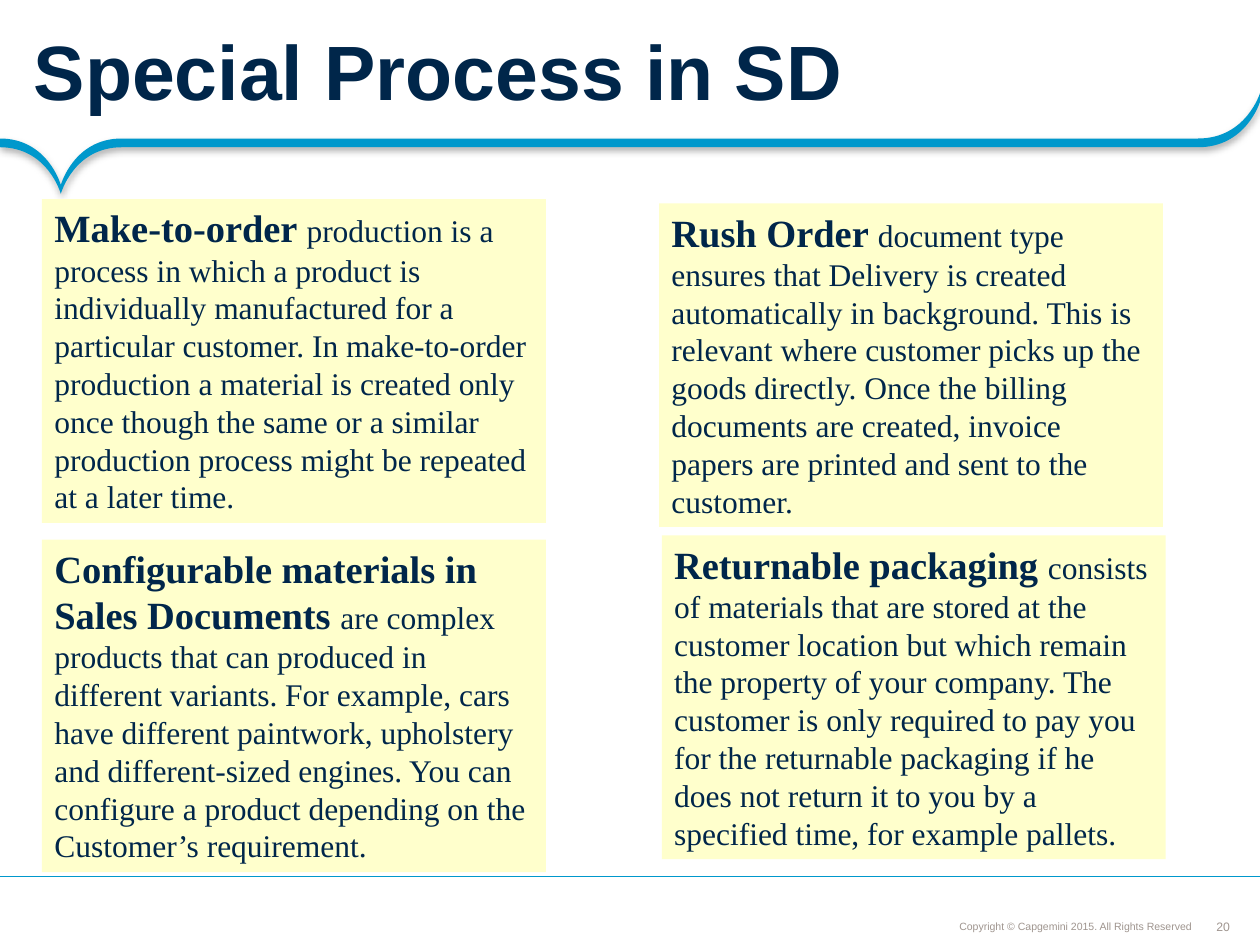
import pptx
import pptx.util
import pptx.oxml
import pptx.dml.color
import pptx.enum.text
import pptx.enum.shapes

Pt = pptx.util.Pt
RGBColor = pptx.dml.color.RGBColor
PP_ALIGN = pptx.enum.text.PP_ALIGN
ANCHOR = pptx.enum.text.MSO_ANCHOR

NAVY = RGBColor(0x00, 0x26, 0x4A)
BLUE = RGBColor(0x00, 0x98, 0xCC)
CREAM = RGBColor(0xFF, 0xFF, 0xCC)
GREY = RGBColor(0x9F, 0x95, 0x8F)

A_NS = 'xmlns:a="http://schemas.openxmlformats.org/drawingml/2006/main"'
NO_EFFECT = f"<a:effectLst {A_NS}/>"
SOFT_SHADOW = (
    f'<a:effectLst {A_NS}><a:outerShdw blurRad="{Pt(4)}" dist="{Pt(2)}" dir="5400000" '
    'algn="t" rotWithShape="0"><a:srgbClr val="000000"><a:alpha val="31000"/></a:srgbClr>'
    "</a:outerShdw></a:effectLst>"
)

BAND_THICKNESS = 5
BAND_BEND = 27.4
BAND_EDGE = [(0, 79.2), (34.8, 105.8), (69.6, 79.2), (684.7, 79.2), (720, 53.3)]
BAND_PEAKS = {34.8, 720}
CARD_WIDTH = 288

# left, top, height, bold term, explanation
CARDS = [
    (24, 113.8, 185, "Make-to-order ",
     "production is a process in which a product is individually manufactured for a "
     "particular customer. In make-to-order production a material is created only once "
     "though the same or a similar production process might be repeated at a later time."),
    (376.6, 116.2, 185, "Rush Order ",
     "document type ensures that Delivery is created automatically in background. This is "
     "relevant where customer picks up the goods directly. Once the billing documents are "
     "created, invoice papers are printed and sent to the customer."),
    (24, 308.4, 190, "Configurable materials in Sales Documents ",
     "are complex products that can produced in different variants. For example, cars have "
     "different paintwork, upholstery and different-sized engines. You can configure a "
     "product depending on the Customer’s requirement."),
    (378.2, 306, 185, "Returnable packaging ",
     "consists of materials that are stored at the customer location but which remain the "
     "property of your company. The customer is only required to pay you for the returnable "
     "packaging if he does not return it to you by a specified time, for example pallets."),
]


def style_font(font, name, size, color, bold=False):
    font.name = name
    font.size = Pt(size)
    font.bold = bold
    font.color.rgb = color


def set_frame(tf, anchor, left=0, top=0, right=0, bottom=0):
    tf.word_wrap = True
    tf.vertical_anchor = anchor
    tf.margin_left, tf.margin_top = Pt(left), Pt(top)
    tf.margin_right, tf.margin_bottom = Pt(right), Pt(bottom)


def add_label(s, box, text, size, color, anchor, align, bold=False, insets=(0, 0, 0, 0)):
    tf = s.shapes.add_textbox(*[Pt(v) for v in box]).text_frame
    set_frame(tf, anchor, *insets)
    p = tf.paragraphs[0]
    p.text = text
    p.alignment = align
    style_font(p.font, "Arial", size, color, bold)


def add_card(s, left, top, height, term, explanation):
    sp = s.shapes.add_shape(pptx.enum.shapes.MSO_SHAPE.RECTANGLE,
                            Pt(left), Pt(top), Pt(CARD_WIDTH), Pt(height))
    sp.shadow.inherit = False
    sp.fill.solid()
    sp.fill.fore_color.rgb = CREAM
    sp.line.fill.background()
    set_frame(sp.text_frame, ANCHOR.TOP, left=7.2, top=3, right=9)
    p = sp.text_frame.paragraphs[0]
    p.alignment = PP_ALIGN.LEFT
    p.line_spacing = 1.0
    for text, size, bold in ((term, 22, True), (explanation, 18, False)):
        r = p.add_run()
        r.text = text
        style_font(r.font, "Times New Roman", size, NAVY, bold)


def bend_handle(point, other):
    """Control point: level on the flat part, none at a peak."""
    x, y = point
    if x in BAND_PEAKS:
        return point
    return (x + BAND_BEND if other[0] > x else x - BAND_BEND, y)


def curve_xml(start, end, top):
    points = (bend_handle(start, end), bend_handle(end, start), end)
    pts = "".join(f'<a:pt x="{Pt(x)}" y="{Pt(y - top)}"/>' for x, y in points)
    return f"<a:cubicBezTo {A_NS}>{pts}</a:cubicBezTo>"


def add_band(s):
    outline = BAND_EDGE + [(x, y + BAND_THICKNESS) for x, y in reversed(BAND_EDGE)]
    builder = s.shapes.build_freeform(Pt(outline[0][0]), Pt(outline[0][1]))
    builder.add_line_segments([(Pt(x), Pt(y)) for x, y in outline[1:]], close=True)
    sp = builder.convert_to_shape()
    sp.fill.solid()
    sp.fill.fore_color.rgb = BLUE
    sp.line.fill.background()
    sp._element.spPr.append(pptx.oxml.parse_xml(SOFT_SHADOW))

    # Bend the segments that lead to a peak
    top = min(y for _, y in outline)
    segments = zip(sp._element.xpath(".//a:lnTo"), outline, outline[1:])
    for line_to, start, end in segments:
        if start[0] != end[0] and BAND_PEAKS & {start[0], end[0]}:
            curve = pptx.oxml.parse_xml(curve_xml(start, end, top))
            line_to.getparent().replace(line_to, curve)


def add_rule(s, y):
    line = s.shapes.add_connector(pptx.enum.shapes.MSO_CONNECTOR.STRAIGHT,
                                  Pt(720), Pt(y), Pt(0), Pt(y))
    line.line.color.rgb = BLUE
    line.line.width = Pt(0.75)
    line._element.spPr.append(pptx.oxml.parse_xml(NO_EFFECT))


def main():
    prs = pptx.Presentation()
    prs.slide_width, prs.slide_height = Pt(720), Pt(540)
    s = prs.slides.add_slide(prs.slide_layouts[6])

    # Header band and footer
    add_band(s)
    add_rule(s, 501)
    add_label(s, (490.3, 521.3, 193.7, 14.4), "Copyright © Capgemini 2015. All Rights Reserved",
              6, GREY, ANCHOR.BOTTOM, PP_ALIGN.RIGHT, insets=(3, 3, 3, 3))
    add_label(s, (692, 524.9, 14, 8.6), "20", 7, GREY, ANCHOR.MIDDLE, PP_ALIGN.CENTER)

    # Title
    add_label(s, (0, 0, 720, 79.2), "Special Process in SD", 44, NAVY,
              ANCHOR.MIDDLE, PP_ALIGN.LEFT, bold=True, insets=(19.4, 0, 0, 0))

    # Process descriptions
    for card in CARDS:
        add_card(s, *card)

    prs.save("out.pptx")


if __name__ == "__main__":
    main()
